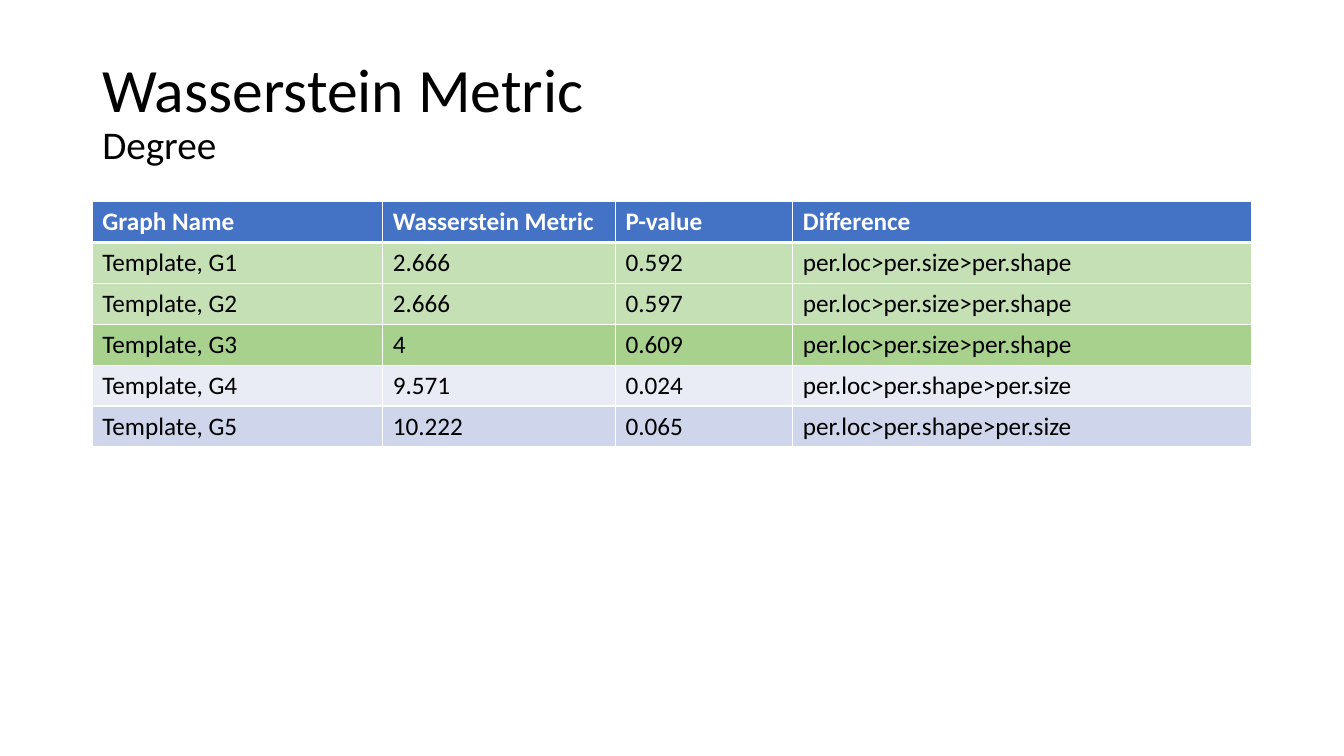
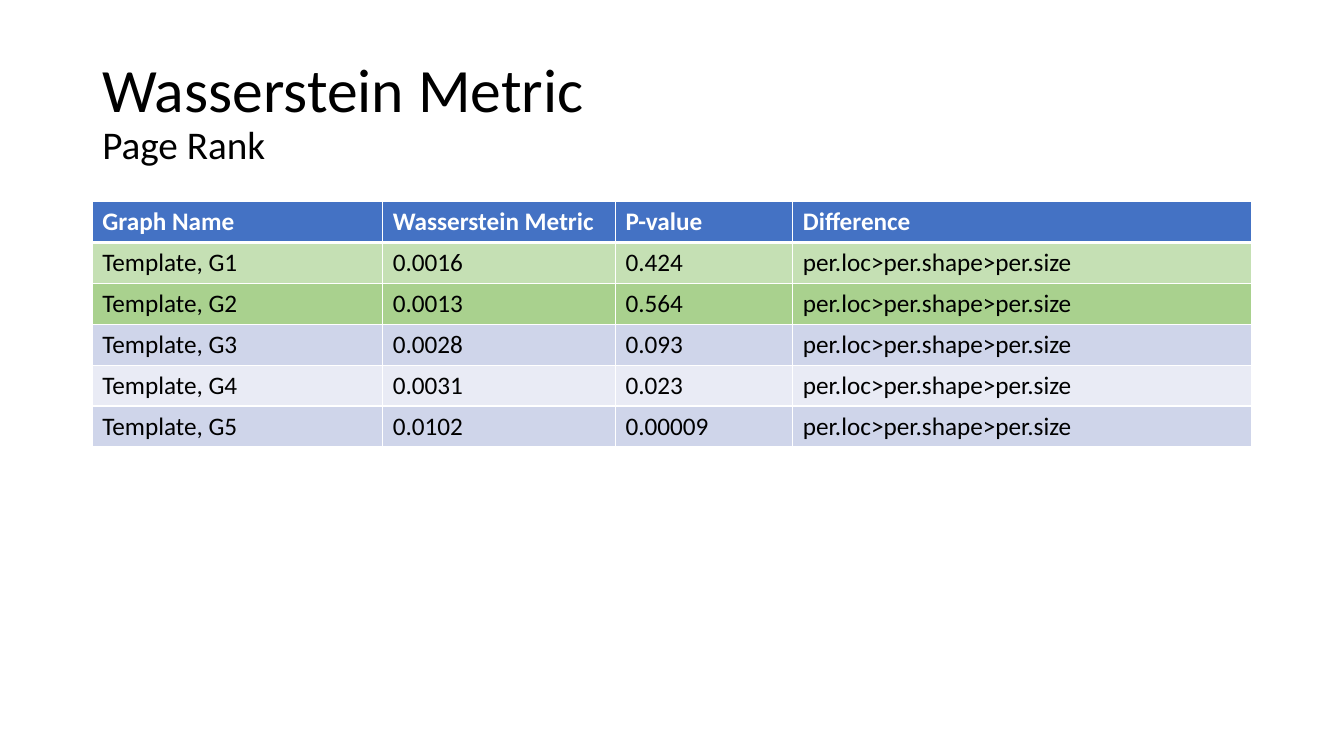
from lxml.etree import SubElement
from pptx import Presentation
from pptx.dml.color import RGBColor
from pptx.enum.text import MSO_ANCHOR as Anchor
from pptx.oxml.ns import qn
from pptx.util import Pt

FONT = "Calibri"
BLACK, WHITE, BLUE = "000000", "FFFFFF", "4472C4"
BANDS = ["CFD5EA", "E9EBF5"]
LIGHT_GREEN, GREEN = "C5E0B4", "A9D18E"

LEFT, WIDTH = 66, 828
TITLE_TOP, TITLE_HEIGHT = 28.75, 104.4
TABLE_TOP, ROW_HEIGHT = 144, 29.2
COL_WIDTHS = [207.36, 166.32, 126.72, 327.6]

HEADER = ["Graph Name", "Wasserstein Metric", "P-value", "Difference"]
SIZE_FIRST = "per.loc>per.size>per.shape"
SHAPE_FIRST = "per.loc>per.shape>per.size"

DEGREE = [
    ["Template, G1", "2.666", "0.592", SIZE_FIRST],
    ["Template, G2", "2.666", "0.597", SIZE_FIRST],
    ["Template, G3", "4", "0.609", SIZE_FIRST],
    ["Template, G4", "9.571", "0.024", SHAPE_FIRST],
    ["Template, G5", "10.222", "0.065", SHAPE_FIRST],
]
PAGE_RANK = [
    ["Template, G1", "0.0016", "0.424", SHAPE_FIRST],
    ["Template, G2", "0.0013", "0.564", SHAPE_FIRST],
    ["Template, G3", "0.0028", "0.093", SHAPE_FIRST],
    ["Template, G4", "0.0031", "0.023", SHAPE_FIRST],
    ["Template, G5", "0.0102", "0.00009", SHAPE_FIRST],
]


def rgb(value):
    """Turn a hex string into a colour."""
    return RGBColor.from_string(value)


def add_text(p, text, size=18, color=BLACK, bold=False):
    """Add a formatted run to a paragraph."""
    r = p.add_run()
    r.text = text
    r.font.name = FONT
    r.font.size = Pt(size)
    r.font.bold = bold
    r.font.color.rgb = rgb(color)


def add_title(s, title, subtitle):
    """Add the title with a smaller second line."""
    box = s.shapes.add_textbox(Pt(LEFT), Pt(TITLE_TOP), Pt(WIDTH), Pt(TITLE_HEIGHT))
    tf = box.text_frame
    tf.word_wrap = True
    tf.vertical_anchor = Anchor.MIDDLE
    p = tf.paragraphs[0]
    p.line_spacing = 0.9
    add_text(p, title, size=44)
    p.add_line_break()
    add_text(p, subtitle, size=28)


def set_borders(cell, top=1, bottom=1):
    """Draw white borders around a cell, with widths in points."""
    tc_pr = cell._tc.get_or_add_tcPr()
    for side, width in (("L", 1), ("R", 1), ("T", top), ("B", bottom)):
        ln = SubElement(tc_pr, qn(f"a:ln{side}"), w=str(Pt(width)))
        fill = SubElement(ln, qn("a:solidFill"))
        SubElement(fill, qn("a:srgbClr"), val=WHITE)


def row_fill(row, greens):
    """Pick a row colour: header, green rows (the last one darker), then bands."""
    if row == 0:
        return BLUE
    if row <= greens:
        return GREEN if row == greens else LIGHT_GREEN
    return BANDS[(row - 1) % 2]


def add_metric_table(s, rows, greens):
    """Add the table of metrics, with its first rows in green."""
    lines = [HEADER] + rows
    table = s.shapes.add_table(len(lines), len(HEADER), Pt(LEFT), Pt(TABLE_TOP),
                               Pt(WIDTH), Pt(ROW_HEIGHT * len(lines))).table
    for column, width in zip(table.columns, COL_WIDTHS):
        column.width = Pt(width)
    for i, line in enumerate(lines):
        table.rows[i].height = Pt(ROW_HEIGHT)
        is_header = i == 0
        for j, text in enumerate(line):
            cell = table.cell(i, j)
            set_borders(cell, top=3 if i == 1 else 1, bottom=3 if is_header else 1)
            cell.fill.solid()
            cell.fill.fore_color.rgb = rgb(row_fill(i, greens))
            add_text(cell.text_frame.paragraphs[0], text,
                     color=WHITE if is_header else BLACK, bold=is_header)


def main():
    """Build one slide for each graph measure."""
    prs = Presentation()
    prs.slide_width, prs.slide_height = Pt(960), Pt(540)
    for measure, rows, greens in (("Degree", DEGREE, 3), ("Page Rank", PAGE_RANK, 2)):
        s = prs.slides.add_slide(prs.slide_layouts[6])
        add_title(s, "Wasserstein Metric", measure)
        add_metric_table(s, rows, greens)
    prs.save("out.pptx")


main()
